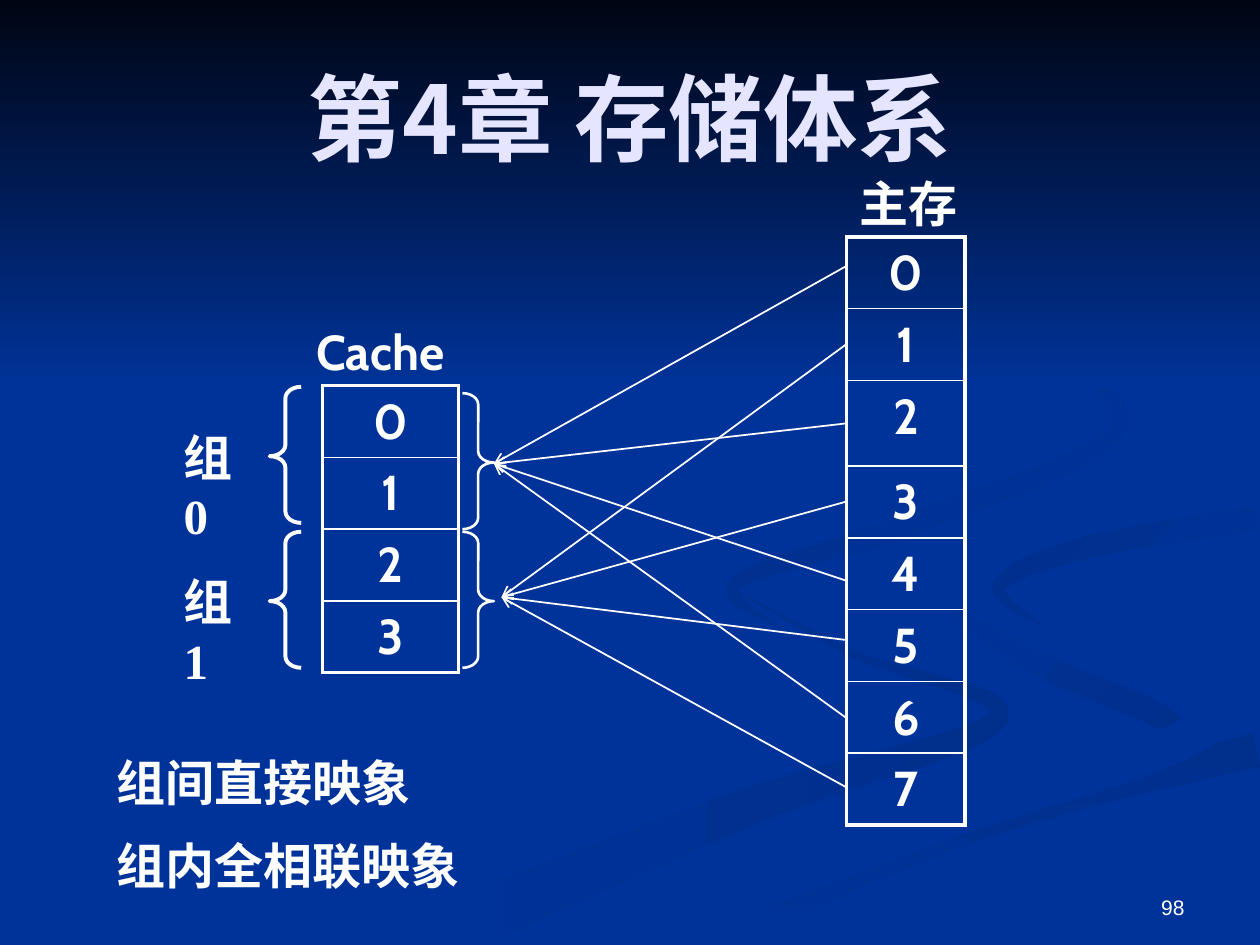
from dataclasses import dataclass
from math import hypot, pi, sin

from lxml.etree import SubElement
from pptx import Presentation
from pptx.dml.color import RGBColor
from pptx.enum.shapes import MSO_CONNECTOR, MSO_SHAPE
from pptx.enum.text import MSO_ANCHOR, PP_ALIGN
from pptx.oxml.ns import qn
from pptx.util import Inches, Pt

WHITE = RGBColor(0xFF, 0xFF, 0xFF)
LAVENDER = RGBColor(0xE5, 0xE5, 0xFF)
BLUE = RGBColor(0x00, 0x33, 0x99)
SHADE = RGBColor(0x00, 0x2F, 0x8C)
NIGHT = RGBColor(0x00, 0x05, 0x14)
CJK_FONT = "Noto Sans CJK SC"
SLIDE_WIDTH, SLIDE_HEIGHT = 10, 7.5
BLOCK_HEIGHT, TALL_BLOCK_HEIGHT = 0.57, 0.68
STEPS_PER_BEND = 10


@dataclass
class Ribbon:
    """A curved band: the bends it passes, its widths and its gradient."""
    bends: tuple
    start_width: float
    middle_width: float
    end_width: float
    first_color: RGBColor
    last_color: RGBColor
    angle: int


RIBBONS = (
    Ribbon(((5.73, 4.62), (6.75, 5.18), (7.93, 5.7), (5.9, 6.42), (3.3, 7.49)),
           0, 0.15, 0.5, BLUE, SHADE, 0),
    Ribbon(((7.24, 4.64), (8.2, 5.25), (9.3, 5.75), (8.94, 6.05)),
           0, 0.2, 0, BLUE, SHADE, 315),
    Ribbon(((9.98, 5.95), (7.75, 6.55), (5.37, 7.49)),
           0.28, 0.24, 0.4, SHADE, BLUE, 270),
    Ribbon(((9.99, 3.95), (7.55, 4.5), (9.7, 5.6), (7.4, 6.55), (4.9, 7.49)),
           0.15, 0.3, 0.25, BLUE, BLUE, 0),
    Ribbon(((9.98, 4.11), (8.6, 4.35), (7.93, 4.65), (8.26, 4.96)),
           0.18, 0.15, 0, SHADE, BLUE, 315),
    Ribbon(((7.62, 2.33), (8.9, 3.35), (7.25, 4.15), (5.85, 4.62), (6.22, 5)),
           0, 0.16, 0, SHADE, BLUE, 315),
)


def write(frame, text, size=28, font="Cabin", color=WHITE, bold=True,
          align=PP_ALIGN.LEFT, anchor=MSO_ANCHOR.TOP, gap=0):
    """Fill a text frame, one paragraph for each line of text."""
    frame.text = text
    frame.vertical_anchor = anchor
    for index, paragraph in enumerate(frame.paragraphs):
        paragraph.alignment = align
        if index:
            paragraph.space_before = Pt(gap)
        run = paragraph.runs[0]
        run.font.size, run.font.name, run.font.bold = Pt(size), font, bold
        run.font.color.rgb = color
        SubElement(run.font._element, qn("a:ea"), typeface=CJK_FONT)


def add_label(slide, text, left, top, width, height, wrap=False, **style):
    """Add a text box."""
    frame = slide.shapes.add_textbox(
        Inches(left), Inches(top), Inches(width), Inches(height)).text_frame
    frame.word_wrap = wrap
    write(frame, text, **style)


def shade(shape, first_color, last_color, angle):
    """Give a borderless shape a two-colour gradient."""
    shape.shadow.inherit = False
    shape.line.fill.background()
    shape.fill.gradient()
    shape.fill.gradient_angle = angle
    for stop, color in zip(shape.fill.gradient_stops, (first_color, last_color)):
        stop.color.rgb = color


def spline(before, start, end, after, t):
    """Return one coordinate of a Catmull-Rom curve between start and end."""
    return start + t / 2 * (
        end - before
        + t * (2 * before - 5 * start + 4 * end - after)
        + t * t * (3 * start - before - 3 * end + after))


def trace_spine(bends):
    """Return points of a smooth curve through all bends."""
    padded = (bends[0], *bends, bends[-1])
    spine = [tuple(spline(*axis, step / STEPS_PER_BEND)
                   for axis in zip(*padded[index:index + 4]))
             for index in range(len(bends) - 1)
             for step in range(STEPS_PER_BEND)]
    return spine + [bends[-1]]


def trace_edges(ribbon):
    """Return the outline that lies half a width to each side of the spine."""
    spine = trace_spine(ribbon.bends)
    last = len(spine) - 1
    bulge = ribbon.middle_width - (ribbon.start_width + ribbon.end_width) / 2
    near_edge, far_edge = [], []
    for index, (x, y) in enumerate(spine):
        t = index / last
        width = ribbon.start_width * (1 - t) + ribbon.end_width * t + bulge * sin(pi * t)
        (x0, y0), (x1, y1) = spine[max(index - 1, 0)], spine[min(index + 1, last)]
        reach = width / 2 / hypot(x1 - x0, y1 - y0)
        for edge, side in ((near_edge, reach), (far_edge, -reach)):
            edge.append((min(x - side * (y1 - y0), SLIDE_WIDTH),
                         min(y + side * (x1 - x0), SLIDE_HEIGHT)))
    return near_edge + far_edge[::-1]


def add_ribbon(slide, ribbon):
    """Draw one background ribbon."""
    outline = [(Inches(x), Inches(y)) for x, y in trace_edges(ribbon)]
    builder = slide.shapes.build_freeform(*outline[0])
    builder.add_line_segments(outline[1:], close=True)
    shade(builder.convert_to_shape(), ribbon.first_color, ribbon.last_color, ribbon.angle)


def add_backdrop(slide):
    """Paint the blue ground, its ribbons and the dark top."""
    slide.background.fill.solid()
    slide.background.fill.fore_color.rgb = BLUE
    for ribbon in RIBBONS:
        add_ribbon(slide, ribbon)
    sky = slide.shapes.add_shape(
        MSO_SHAPE.RECTANGLE, 0, 0, Inches(SLIDE_WIDTH), Inches(3.08))
    shade(sky, NIGHT, BLUE, 270)


def add_border(cell, side, width):
    """Draw one white cell border."""
    line = SubElement(cell._tc.get_or_add_tcPr(), qn(f"a:ln{side}"), w=str(Pt(width)))
    SubElement(SubElement(line, qn("a:solidFill")), qn("a:srgbClr"), val=str(WHITE))


def add_blocks(slide, left, top, width, heights):
    """Add a one-column table of numbered memory blocks."""
    count = len(heights)
    blocks = slide.shapes.add_table(count, 1, Inches(left), Inches(top),
                                    Inches(width), Inches(sum(heights))).table
    blocks.first_row = blocks.horz_banding = False
    for number, height in enumerate(heights):
        blocks.rows[number].height = Inches(height)
        cell = blocks.cell(number, 0)
        write(cell.text_frame, str(number), align=PP_ALIGN.CENTER)
        top_width = 1 if number else 2.25
        bottom_width = 1 if number < count - 1 else 2.25
        for side, weight in zip("LRTB", (2.25, 2.25, top_width, bottom_width)):
            add_border(cell, side, weight)
        cell.fill.background()


def add_brace(slide, kind, left, top, weight):
    """Add a brace that spans two cache blocks."""
    brace = slide.shapes.add_shape(kind, Inches(left), Inches(top), Inches(0.25), Inches(1.08))
    brace.shadow.inherit = False
    brace.fill.background()
    brace.line.color.rgb = WHITE
    brace.line.width = Pt(weight)
    brace.adjustments[0], brace.adjustments[1] = 0.36, 0.51


def add_arrow(slide, start, end):
    """Add a thin arrow from a memory block to a cache group."""
    arrow = slide.shapes.add_connector(
        MSO_CONNECTOR.STRAIGHT, *(Inches(value) for value in (*start, *end)))
    arrow.line.color.rgb = WHITE
    arrow.line.width = Pt(1)
    SubElement(arrow.line._get_or_add_ln(), qn("a:tailEnd"), type="arrow")
    SubElement(arrow._element.spPr, qn("a:effectLst"))


def add_title(slide, text):
    """Place the title above the backdrop."""
    title = slide.shapes.title
    title.left, title.top = Inches(0.5), Inches(0.3)
    title.width, title.height = Inches(9), Inches(1.25)
    write(title.text_frame, text, size=54, font=CJK_FONT, color=LAVENDER,
          align=PP_ALIGN.CENTER, anchor=MSO_ANCHOR.MIDDLE)
    title.element.getparent().append(title.element)


def main():
    """Build the set-associative mapping slide."""
    deck = Presentation()
    deck.slide_width, deck.slide_height = Inches(SLIDE_WIDTH), Inches(SLIDE_HEIGHT)
    slide = deck.slides.add_slide(deck.slide_layouts[5])
    add_backdrop(slide)
    add_label(slide, "98", 7.17, 6.83, 2.33, 0.52, wrap=True, size=12, font="Arial",
              bold=False, align=PP_ALIGN.RIGHT, anchor=MSO_ANCHOR.BOTTOM)
    add_title(slide, "第4章 存储体系")
    add_label(slide, "Cache", 2.41, 2.5, 1.38, 0.57)
    add_blocks(slide, 2.56, 3.06, 1.08, [BLOCK_HEIGHT] * 4)
    add_label(slide, "主存", 6.72, 1.33, 0.98, 0.57)
    add_blocks(slide, 6.72, 1.88, 0.94,
               [BLOCK_HEIGHT] * 2 + [TALL_BLOCK_HEIGHT] + [BLOCK_HEIGHT] * 5)
    for group, (left_top, right_top) in enumerate(((3.07, 3.12), (4.22, 4.22))):
        add_brace(slide, MSO_SHAPE.LEFT_BRACE, 2.14, left_top, 2.25)
        add_label(slide, f"组{group}", 1.36, left_top + 0.27, 0.75, 0.57,
                  wrap=True, font="Times New Roman")
        add_brace(slide, MSO_SHAPE.RIGHT_BRACE, 3.67, right_top, 1.5)
    add_label(slide, "组间直接映象\n组内全相联映象", 0.83, 5.92, 3.56, 1.27,
              wrap=True, font="Times New Roman", gap=14)
    group_tips = ((3.92, 3.68), (3.98, 4.74))
    for block, y in enumerate((2.11, 2.73, 3.36, 3.98, 4.61, 5.08, 5.7, 6.25)):
        add_arrow(slide, (6.72, y), group_tips[block % 2])
    deck.save("out.pptx")


if __name__ == "__main__":
    main()
